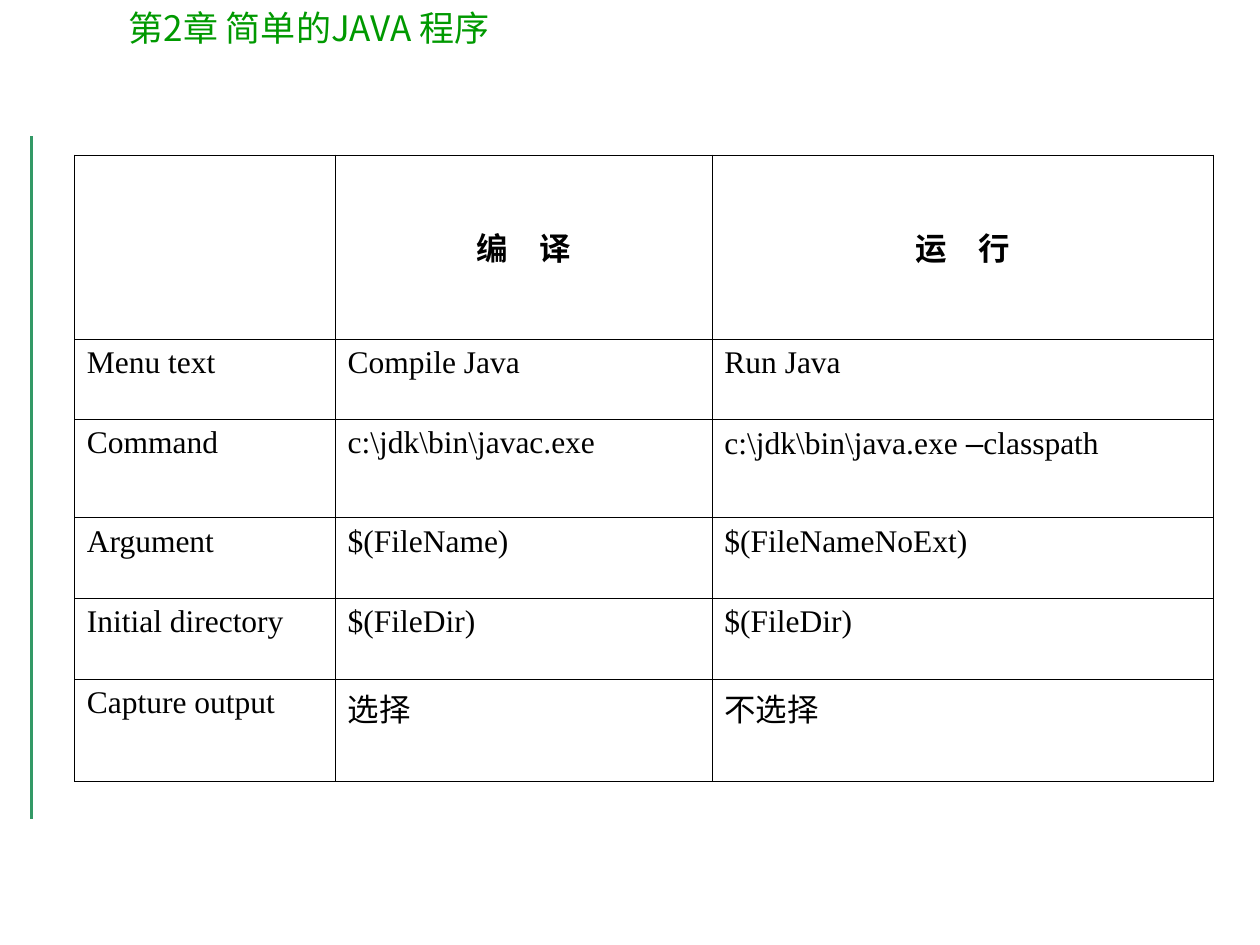
import pptx
import pptx.dml.color
import pptx.enum.shapes
import pptx.enum.text
import pptx.oxml
import pptx.oxml.ns
import pptx.util

WIDTH, HEIGHT = 10, 7.5
SERIF, SANS, DASH_FONT = "Times New Roman", "Noto Sans CJK SC", "Arial"
ALIGN = pptx.enum.text.PP_ALIGN
ANCHOR = pptx.enum.text.MSO_ANCHOR
COLUMNS = [2.07, 2.99, 3.98]
ROWS = [1.46, 0.64, 0.78, 0.64, 0.64, 0.81]
SETTINGS = [
    ["", "编　译", "运　行"],
    ["Menu text", "Compile Java", "Run Java"],
    ["Command", r"c:\jdk\bin\javac.exe", r"c:\jdk\bin\java.exe –classpath"],
    ["Argument", "$(FileName)", "$(FileNameNoExt)"],
    ["Initial directory", "$(FileDir)", "$(FileDir)"],
    ["Capture output", "选择", "不选择"],
]


def color(value):
    return pptx.dml.color.RGBColor.from_string(value)


def inches(*lengths):
    return [pptx.util.Inches(length) for length in lengths]


def write(frame, text, font=SERIF, size=18, ink="000000", bold=False,
          align=ALIGN.LEFT, anchor=ANCHOR.TOP):
    frame.word_wrap = True
    frame.vertical_anchor = anchor
    paragraph = frame.paragraphs[0]
    paragraph.alignment = align
    before, dash, after = text.partition("–")
    for part, face in ((before, font), (dash, DASH_FONT), (after, font)):
        if part:
            run = paragraph.add_run()
            run.text = part
            run.font.name = face
            run.font.size = pptx.util.Pt(size)
            run.font.bold = bold
            run.font.color.rgb = color(ink)
            east_asian = pptx.oxml.parse_xml(
                f'<a:ea {pptx.oxml.ns.nsdecls("a")} typeface="{SANS}"/>')
            run.font._element.find(pptx.oxml.ns.qn("a:latin")).addnext(east_asian)


def add_heading(slide, left, top, width, height):
    heading = slide.shapes.title
    heading.left, heading.top, heading.width, heading.height = inches(
        left, top, width, height)
    write(heading.text_frame, "第2章 简单的JAVA 程序", font=SANS, size=20, ink="009900")


def add_side_rule(slide, left, top, height):
    rule = slide.shapes.add_connector(
        pptx.enum.shapes.MSO_CONNECTOR.STRAIGHT,
        *inches(left, top, left, top + height))
    rule.line.color.rgb = color("339966")
    rule.line.width = pptx.util.Pt(2.25)
    rule._element.spPr.append(pptx.oxml.parse_xml(
        f'<a:effectLst {pptx.oxml.ns.nsdecls("a")}/>'))


def outline(cell, ink="000000", width=0.45):
    properties = cell._tc.get_or_add_tcPr()
    for side in ("lnL", "lnR", "lnT", "lnB"):
        properties.append(pptx.oxml.parse_xml(
            f'<a:{side} {pptx.oxml.ns.nsdecls("a")} w="{pptx.util.Pt(width)}">'
            f'<a:solidFill><a:srgbClr val="{ink}"/></a:solidFill></a:{side}>'))


def add_settings_table(slide, left, top, width, height):
    settings = slide.shapes.add_table(
        len(ROWS), len(COLUMNS), *inches(left, top, width, height)).table
    settings.first_row = settings.horz_banding = False
    for column, share in zip(settings.columns, COLUMNS):
        column.width = pptx.util.Inches(width * share / sum(COLUMNS))
    for row, share in zip(settings.rows, ROWS):
        row.height = pptx.util.Inches(height * share / sum(ROWS))
    for row_index, entries in enumerate(SETTINGS):
        header = row_index == 0
        for column_index, entry in enumerate(entries):
            cell = settings.cell(row_index, column_index)
            outline(cell)
            cell.fill.background()
            write(cell.text_frame, entry, bold=header,
                  align=ALIGN.CENTER if header else ALIGN.LEFT)
            cell.vertical_anchor = ANCHOR.MIDDLE if header else ANCHOR.TOP


def main():
    deck = pptx.Presentation()
    deck.slide_width, deck.slide_height = inches(WIDTH, HEIGHT)
    slide = deck.slides.add_slide(deck.slide_layouts[5])
    slide.background.fill.solid()
    slide.background.fill.fore_color.rgb = color("FFFFFF")
    add_side_rule(slide, 0.025 * WIDTH, 1.08, 5.42)
    add_heading(slide, 0.92, 0, 8.26, 0.94)
    add_settings_table(slide, 0.59, 1.23, sum(COLUMNS), sum(ROWS))
    deck.save("out.pptx")


if __name__ == "__main__":
    main()
